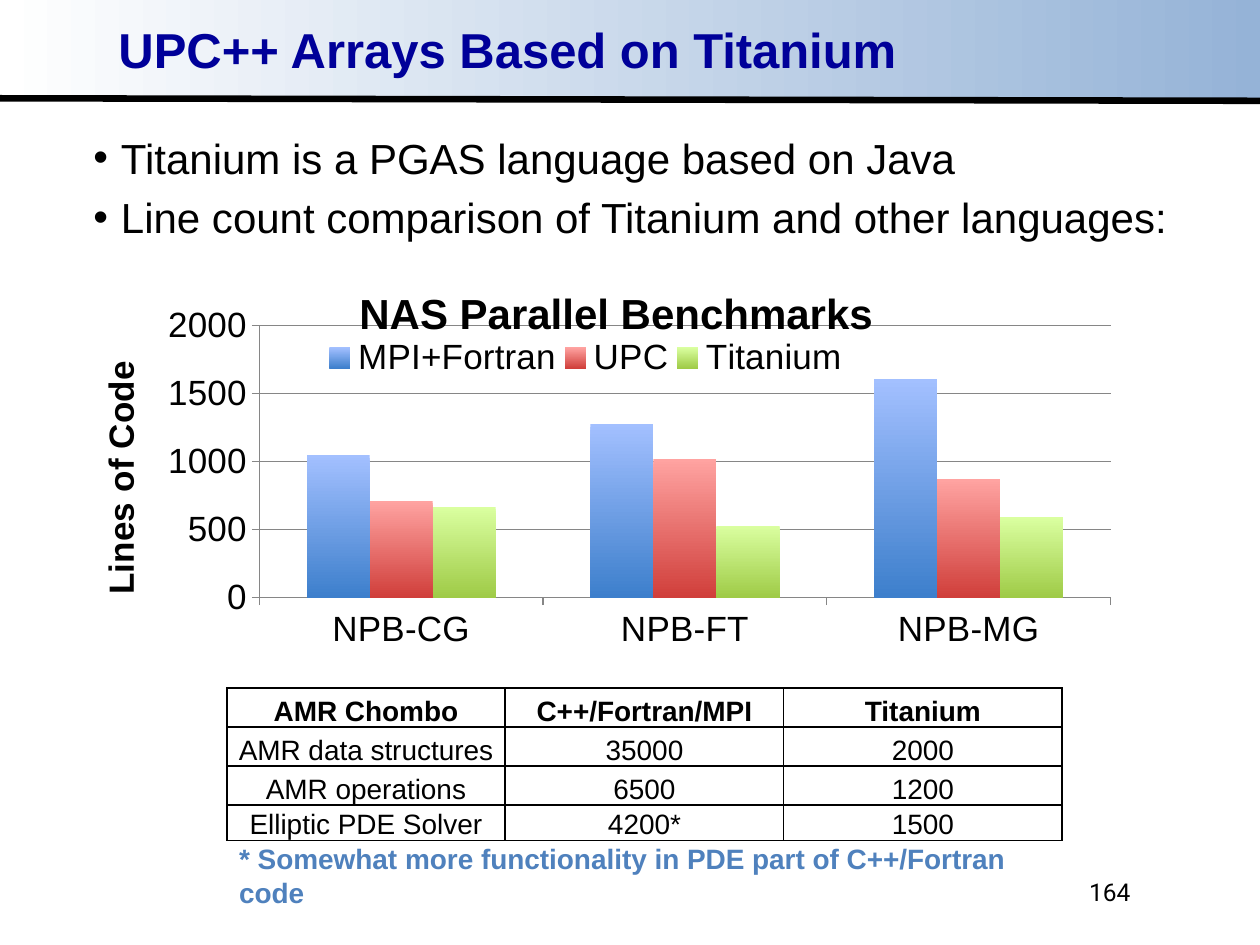
import pptx
import pptx.chart.data
import pptx.dml.color
import pptx.enum.chart
import pptx.enum.shapes
import pptx.enum.text
import pptx.oxml
import pptx.oxml.ns
import pptx.util
from lxml import etree
from pptx.util import Inches, Pt

qn = pptx.oxml.ns.qn
PP_ALIGN = pptx.enum.text.PP_ALIGN
MSO_ANCHOR = pptx.enum.text.MSO_ANCHOR


def rgb(hex_color):
    return pptx.dml.color.RGBColor.from_string(hex_color)


def set_layout(parent, index, **values):
    """Give a chart part a manual place, as fractions of the chart."""
    for old in parent.findall(qn("c:layout")):
        parent.remove(old)
    layout = etree.Element(qn("c:layout"))
    manual = etree.SubElement(layout, qn("c:manualLayout"))
    for tag, value in values.items():
        etree.SubElement(manual, qn("c:" + tag)).set("val", str(value))
    parent.insert(index, layout)


prs = pptx.Presentation()
prs.slide_width, prs.slide_height = Inches(10), Inches(7.5)
slide = prs.slides.add_slide(prs.slide_layouts[5])
shapes = slide.shapes

# Header band and rule, placed behind the title
band = shapes.add_shape(pptx.enum.shapes.MSO_SHAPE.RECTANGLE, 0, 0, Inches(10), Inches(0.8))
band.shadow.inherit = False
band.line.fill.background()
band.fill.gradient()
band.fill.gradient_angle = 180
for stop, color in zip(band.fill.gradient_stops, ("95B3D7", "FFFFFF")):
    stop.color.rgb = rgb(color)
rule = shapes.add_connector(pptx.enum.shapes.MSO_CONNECTOR.STRAIGHT,
                            0, Inches(0.78), Inches(10), Inches(0.8))
rule.line.color.rgb = rgb("000000")
rule.line.width = Pt(3.75)
etree.SubElement(rule._element.spPr, qn("a:effectLst"))
shapes._spTree.insert(2, band._element)
shapes._spTree.insert(3, rule._element)

# Title
title = shapes.title
title.left, title.top, title.width, title.height = map(Inches, (0.87, 0.19, 8.54, 0.48))
title.text_frame.text = "UPC++ Arrays Based on Titanium"
title.text_frame.vertical_anchor = MSO_ANCHOR.TOP
heading = title.text_frame.paragraphs[0]
heading.alignment = PP_ALIGN.LEFT
heading.line_spacing = 0.87
heading.font.size, heading.font.bold, heading.font.name = Pt(28), True, "Arial"
heading.font.color.rgb = rgb("000099")

# Bullets
bullets = shapes.add_textbox(Inches(0.67), Inches(1.02), Inches(8.75), Inches(0.92))
bullets.text_frame.word_wrap = True
bullets.text_frame.text = ("Titanium is a PGAS language based on Java\n"
                           "Line count comparison of Titanium and other languages:")
for number, point in enumerate(bullets.text_frame.paragraphs):
    props = point._p.get_or_add_pPr()
    props.set("marL", str(Inches(0.22)))
    props.set("indent", str(-Inches(0.22)))
    etree.SubElement(props, qn("a:buFont")).set("typeface", "Arial")
    etree.SubElement(props, qn("a:buChar")).set("char", "•")
    if number:
        point.space_before = Pt(5)
    point.font.size, point.font.name = Pt(24), "Arial"
    point.font.color.rgb = rgb("000000")

for frame in (title.text_frame, bullets.text_frame):
    frame.margin_left = frame.margin_right = Inches(0.07)
    frame.margin_top = frame.margin_bottom = Inches(0.03)

# Benchmark chart
line_counts = {
    "MPI+Fortran": ((1050, 1280, 1610), ("A3C0FF", "3D7FCC")),
    "UPC": ((710, 1020, 870), ("FFA3A1", "D03F3B")),
    "Titanium": ((670, 530, 590), ("DAFFA0", "9FCB47")),
}
chart_data = pptx.chart.data.CategoryChartData()
chart_data.categories = ["NPB-CG", "NPB-FT", "NPB-MG"]
for language, (counts, _) in line_counts.items():
    chart_data.add_series(language, counts)
chart = shapes.add_chart(pptx.enum.chart.XL_CHART_TYPE.COLUMN_CLUSTERED, Inches(0.73),
                         Inches(2.05), Inches(8.25), Inches(3.23), chart_data).chart
chart.font.size, chart.font.name = Pt(20), "Arial"
chart.font.color.rgb = rgb("000000")
plot = chart.plots[0]
plot.gap_width, plot.overlap = 150, 0
plot.vary_by_categories = False
for series, (_, shades) in zip(plot.series, line_counts.values()):
    fill = series.format.fill
    fill.gradient()
    fill.gradient_angle = 270
    for stop, shade in zip(fill.gradient_stops, shades):
        stop.color.rgb = rgb(shade)

# Chart axes, title and legend
counts_axis = chart.value_axis
counts_axis.minimum_scale, counts_axis.maximum_scale, counts_axis.major_unit = 0, 2000, 500
counts_axis.has_major_gridlines = True
counts_axis.major_gridlines.format.line.color.rgb = rgb("868686")
for axis in (chart.category_axis, counts_axis):
    axis.major_tick_mark = pptx.enum.chart.XL_TICK_MARK.OUTSIDE
    axis.format.line.color.rgb = rgb("868686")
chart.has_title = counts_axis.has_title = True
for caption, text, size in ((chart.chart_title, "NAS Parallel Benchmarks", 24),
                            (counts_axis.axis_title, "Lines of Code", 20)):
    caption.text_frame.text = text
    font = caption.text_frame.paragraphs[0].font
    font.size, font.bold, font.name = Pt(size), True, "Arial"
    font.color.rgb = rgb("000000")
chart.has_legend = True
chart.legend.include_in_layout = True
set_layout(chart._chartSpace.chart.plotArea, 0, layoutTarget="inner", xMode="edge",
           yMode="edge", x=0.161, y=0.166, w=0.819, h=0.668)
set_layout(chart.chart_title._element, 1, xMode="edge", yMode="edge", x=0.25, y=0.05)
set_layout(chart.legend._element, 1, xMode="edge", yMode="edge", x=0.22, y=0.19, w=0.51, h=0.11)

# Table of code sizes
code_sizes = [
    ("AMR Chombo", "C++/Fortran/MPI", "Titanium"),
    ("AMR data structures", "35000", "2000"),
    ("AMR operations", "6500", "1200"),
    ("Elliptic PDE Solver", "4200*", "1500"),
]
table = shapes.add_table(4, 3, Inches(1.8), Inches(5.46), Inches(6.64), Inches(1.21)).table
table.first_row = table.horz_banding = False
for column in table.columns:
    column.width = Inches(2.21)
for row, height, texts in zip(table.rows, (0.31, 0.31, 0.31, 0.28), code_sizes):
    row.height = Inches(height)
    for cell, text in zip(row.cells, texts):
        cell.text = text
        cell.vertical_anchor = MSO_ANCHOR.BOTTOM
        cell.margin_left = cell.margin_right = cell.margin_top = Inches(0.01)
        cell.margin_bottom = 0
        entry = cell.text_frame.paragraphs[0]
        entry.alignment = PP_ALIGN.CENTER
        entry.font.size, entry.font.name = Pt(16), "Arial"
        entry.font.bold = texts is code_sizes[0]
        entry.font.color.rgb = rgb("000000")
        props = cell._tc.get_or_add_tcPr()
        for side in ("a:lnL", "a:lnR", "a:lnT", "a:lnB"):
            border = etree.SubElement(props, qn(side), w=str(Pt(1)))
            solid = etree.SubElement(border, qn("a:solidFill"))
            etree.SubElement(solid, qn("a:srgbClr"), val="000000")
        cell.fill.background()

# Footnote and page number
footnote = shapes.add_textbox(Inches(1.8), Inches(6.63), Inches(6.6), Inches(0.37))
footnote.text_frame.text = "* Somewhat more functionality in PDE part of C++/Fortran code"
page = shapes.add_textbox(Inches(7.17), Inches(6.83), Inches(1.9), Inches(0.5))
page.text_frame.text = "164"
page.text_frame.vertical_anchor = MSO_ANCHOR.MIDDLE
page.text_frame.paragraphs[0].alignment = PP_ALIGN.RIGHT
for box, size, name, color, bold in ((footnote, 16, "Arial", "4F81BD", True),
                                     (page, 14, "Roboto", "000000", False)):
    box.text_frame.word_wrap = True
    font = box.text_frame.paragraphs[0].font
    font.size, font.name, font.bold = Pt(size), name, bold
    font.color.rgb = rgb(color)

prs.save("out.pptx")
